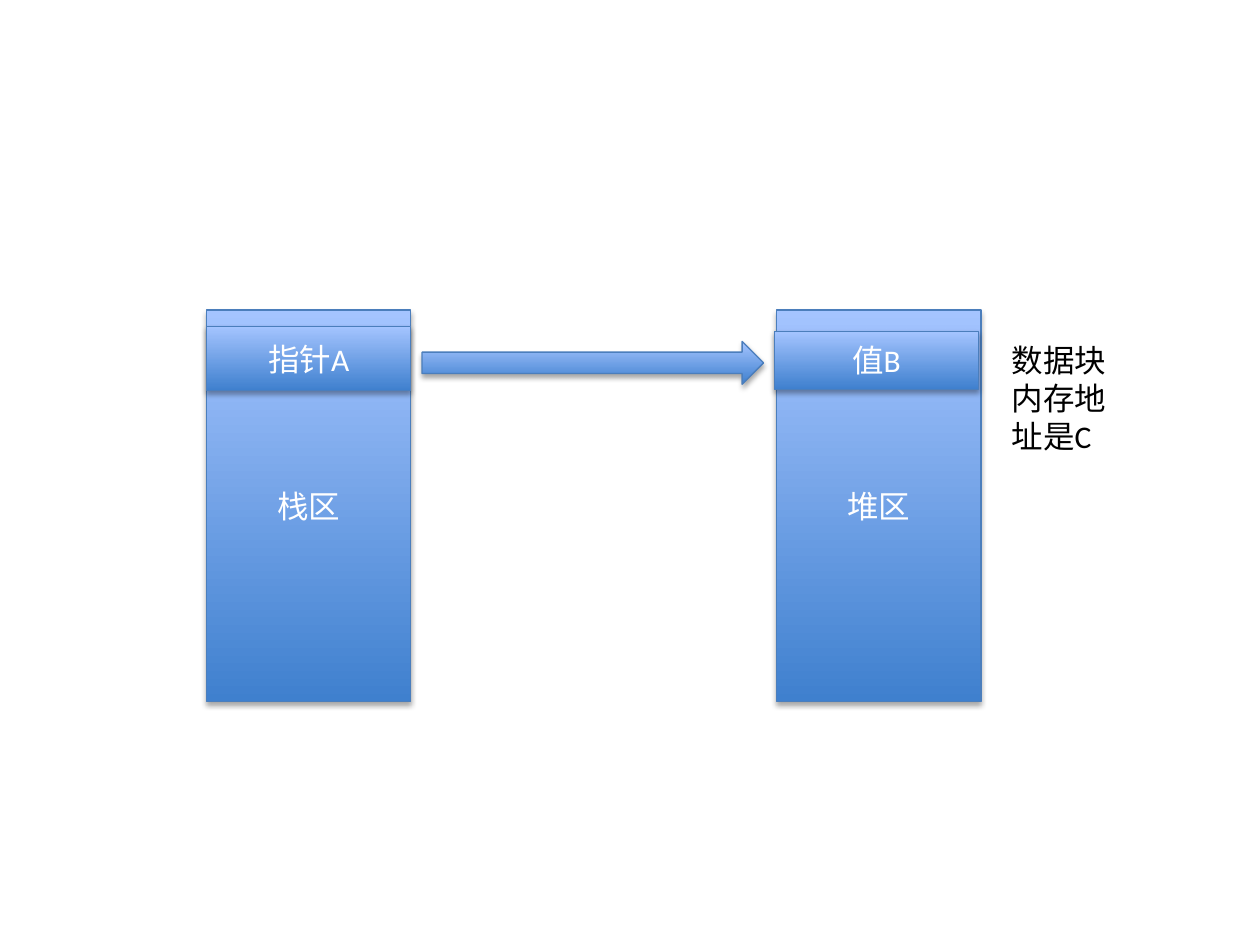
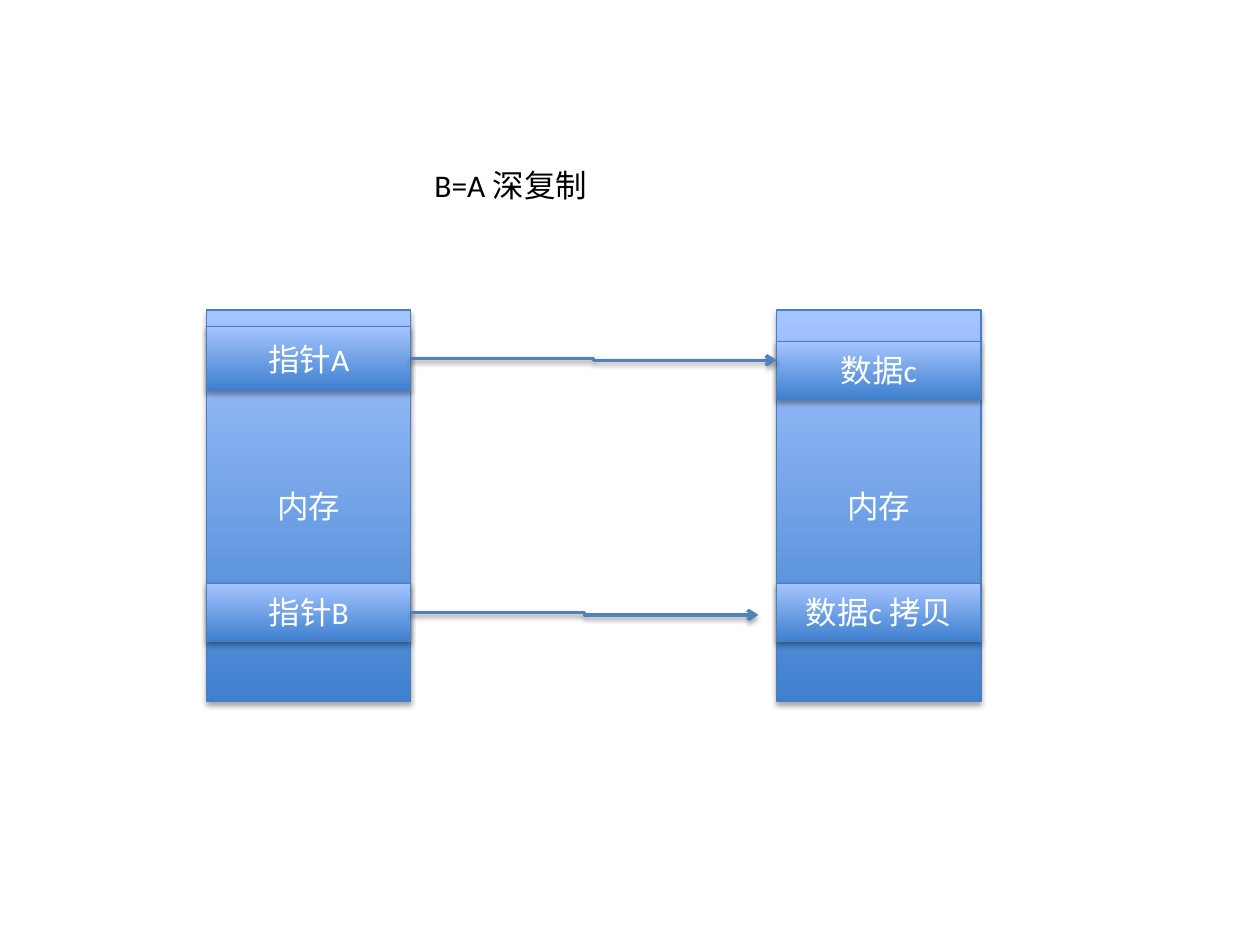
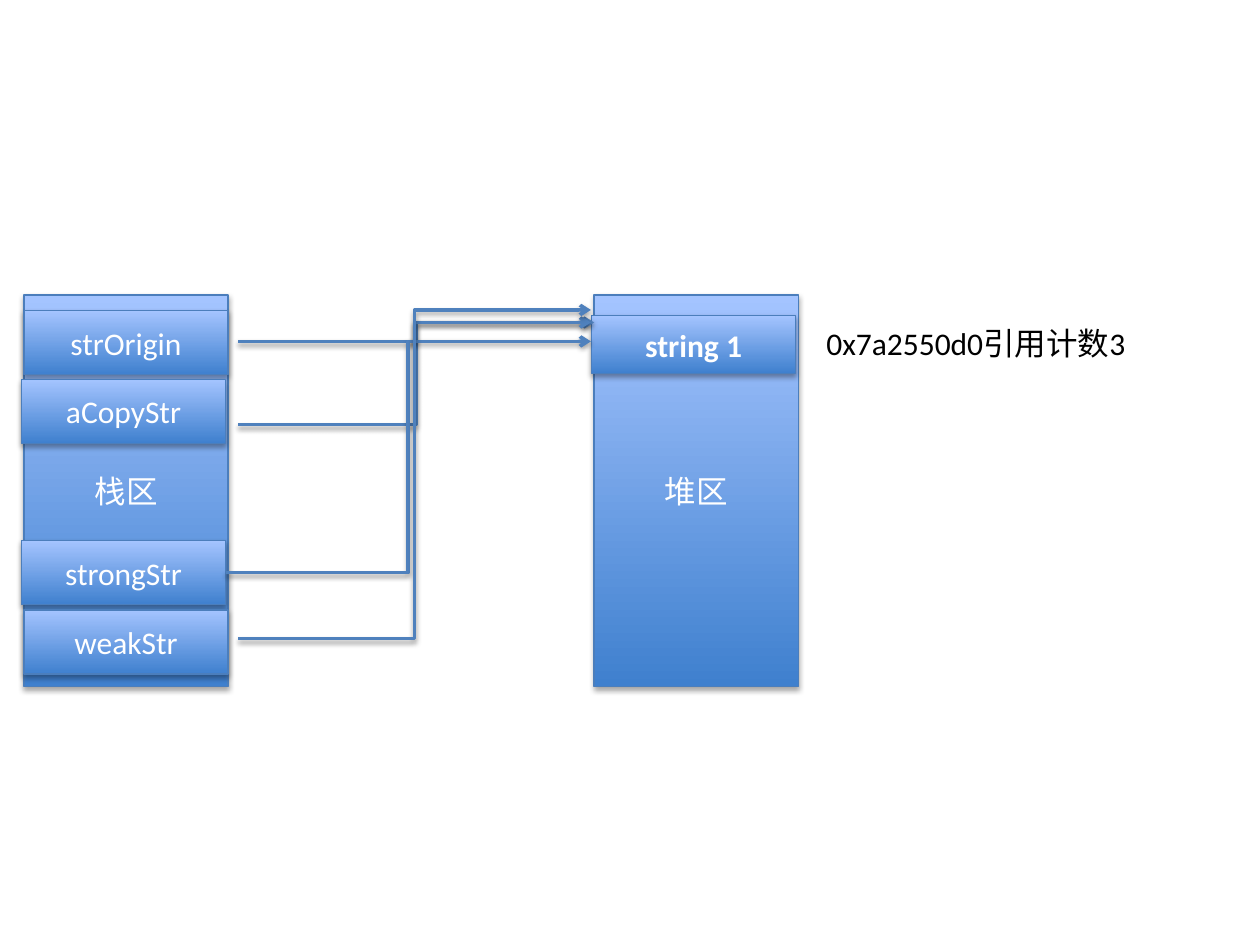
from pptx import Presentation
from pptx.dml.color import RGBColor
from pptx.enum.shapes import MSO_CONNECTOR as Link, MSO_SHAPE as Shape
from pptx.enum.text import MSO_ANCHOR as Anchor, MSO_AUTO_SIZE as Fit, PP_ALIGN as Align
from pptx.oxml import parse_xml
from pptx.oxml.ns import nsdecls
from pptx.util import Inches, Pt

DEEP = RGBColor(0x3F, 0x80, 0xCE)
PALE = RGBColor(0xA4, 0xC4, 0xFF)
EDGE = RGBColor(0x4B, 0x7E, 0xBC)
WIRE = RGBColor(0x4F, 0x81, 0xBD)
WHITE = RGBColor(0xFF, 0xFF, 0xFF)
BLACK = RGBColor(0, 0, 0)

FONT = "Calibri"
WIDE, HIGH = Inches(10), Inches(7.5)
CELL = WIDE / 100
COL_W, COL_H = 16.2, 31.1
PITCH = 45.25
TALL, LOW = 5.1, 4.6


def grid(*cells):
    return [round(cell * CELL) for cell in cells]


def shade(item, drop, alpha):
    item._element.spPr.append(parse_xml(
        f'<a:effectLst {nsdecls("a")}>'
        f'<a:outerShdw blurRad="{Pt(3.1)}" dist="{Pt(drop)}" dir="5400000" rotWithShape="0">'
        f'<a:srgbClr val="{BLACK}"><a:alpha val="{alpha * 1000}"/></a:srgbClr>'
        '</a:outerShdw></a:effectLst>'))


def write(frame, text, color, bold=None):
    run = frame.paragraphs[0].add_run()
    run.text = text
    run.font.name = FONT
    run.font.size = Pt(18)
    run.font.bold = bold
    run.font.color.rgb = color


def solid(slide, kind, box):
    item = slide.shapes.add_shape(kind, *grid(*box))
    item.fill.gradient()
    item.fill.gradient_angle = 90
    for stop, color, place in zip(item.fill.gradient_stops, (DEEP, PALE), (0, 1)):
        stop.color.rgb = color
        stop.position = place
    item.line.color.rgb = EDGE
    item.line.width = Pt(0.75)
    shade(item, 1.8, 35)
    return item


def block(slide, box, text, bold=None):
    item = solid(slide, Shape.RECTANGLE, box)
    frame = item.text_frame
    frame.word_wrap = True
    frame.vertical_anchor = Anchor.MIDDLE
    frame.paragraphs[0].alignment = Align.CENTER
    write(frame, text, WHITE, bold)
    return item


def column(slide, left, top, name, parts):
    block(slide, (left, top, COL_W, COL_H), name)
    return [block(slide, (left + dx, top + dy, COL_W, high), text, bold)
            for text, dx, dy, high, bold in parts]


def pair(slide, left, top, names, stack, heap):
    blocks = column(slide, left, top, names[0], stack)
    column(slide, left + PITCH, top, names[1], heap)
    return blocks


def note(slide, box, text):
    frame = slide.shapes.add_textbox(*grid(*box)).text_frame
    frame.word_wrap = True
    frame.auto_size = Fit.SHAPE_TO_FIT_TEXT
    write(frame, text, BLACK)


def wire(slide, start, end, source=None):
    item = slide.shapes.add_connector(Link.ELBOW, *grid(*start, *end))
    if source is not None:
        item.begin_connect(source, 3)
    item.line.color.rgb = WIRE
    item.line.width = Pt(2)
    item.line._get_or_add_ln().append(
        parse_xml(f'<a:tailEnd {nsdecls("a")} type="arrow"/>'))
    shade(item, 1.6, 38)


def pointer(slide, left, top):
    note(slide, (left + 62.9, top + 2, 11.2, 10.1), "数据块内存地址是C")
    solid(slide, Shape.RIGHT_ARROW, (left + 17.1, top + 2.5, 27.1, 3.4))
    pair(slide, left, top, ("栈区", "堆区"),
         [("指针A", 0, 1.3, TALL, None)],
         [("值B", -0.2, 1.7, LOW, None)])


def deep(slide, left, top):
    blocks = pair(slide, left, top, ("内存", "内存"),
                  [("指针A", 0, 1.3, TALL, None), ("指针B", 0, 21.7, LOW, None)],
                  [("数据c", 0, 2.5, LOW, None), ("数据c 拷贝", 0, 21.7, LOW, None)])
    for source, dy, dx, end in zip(blocks, (3.8, 24), (PITCH, 43.8), (4, 24.2)):
        wire(slide, (left + COL_W, top + dy), (left + dx, top + end), source)
    note(slide, (left + 17.1, top - 11.9, 14.3, 4), "B=A 深复制")


def count(slide, left, top):
    blocks = pair(slide, left, top, ("栈区", "堆区"),
                  [("strOrigin", 0, 1.25, TALL, None),
                   ("aCopyStr", -0.2, 6.7, TALL, None),
                   ("strongStr", -0.2, 19.5, TALL, None),
                   ("weakStr", 0, 25, TALL, None)],
                  [("string 1", -0.2, 1.65, LOW, True)])
    for source, dx, dy, stop, end in (
            (None, 17, 10.3, PITCH, 2.2),
            (None, 17, 3.7, 45, 2.2),
            (blocks[2], COL_W, 22, 45, 3.7),
            (None, 17, 27.3, 45, 1.2)):
        wire(slide, (left + dx, top + dy), (left + stop, top + end), source)
    note(slide, (left + 62.7, top + 1.8, 25.9, 4), "0x7a2550d0引用计数3")


def main():
    deck = Presentation()
    deck.slide_width, deck.slide_height = WIDE, HIGH
    for draw, left, top in ((pointer, 16.4, 24.6), (deep, 16.4, 24.6), (count, 1.9, 23.4)):
        slide = deck.slides.add_slide(deck.slide_layouts[6])
        slide.background.fill.solid()
        slide.background.fill.fore_color.rgb = WHITE
        draw(slide, left, top)
    deck.save("out.pptx")


if __name__ == "__main__":
    main()
